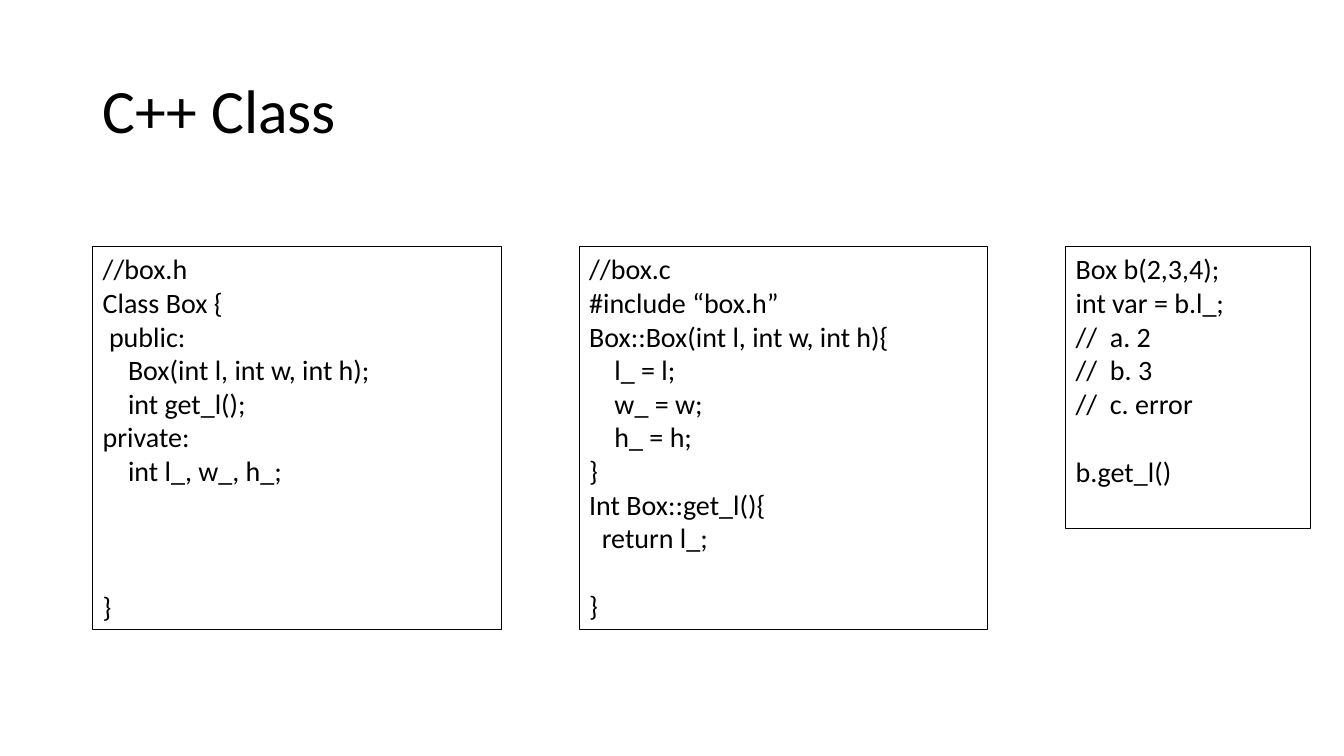
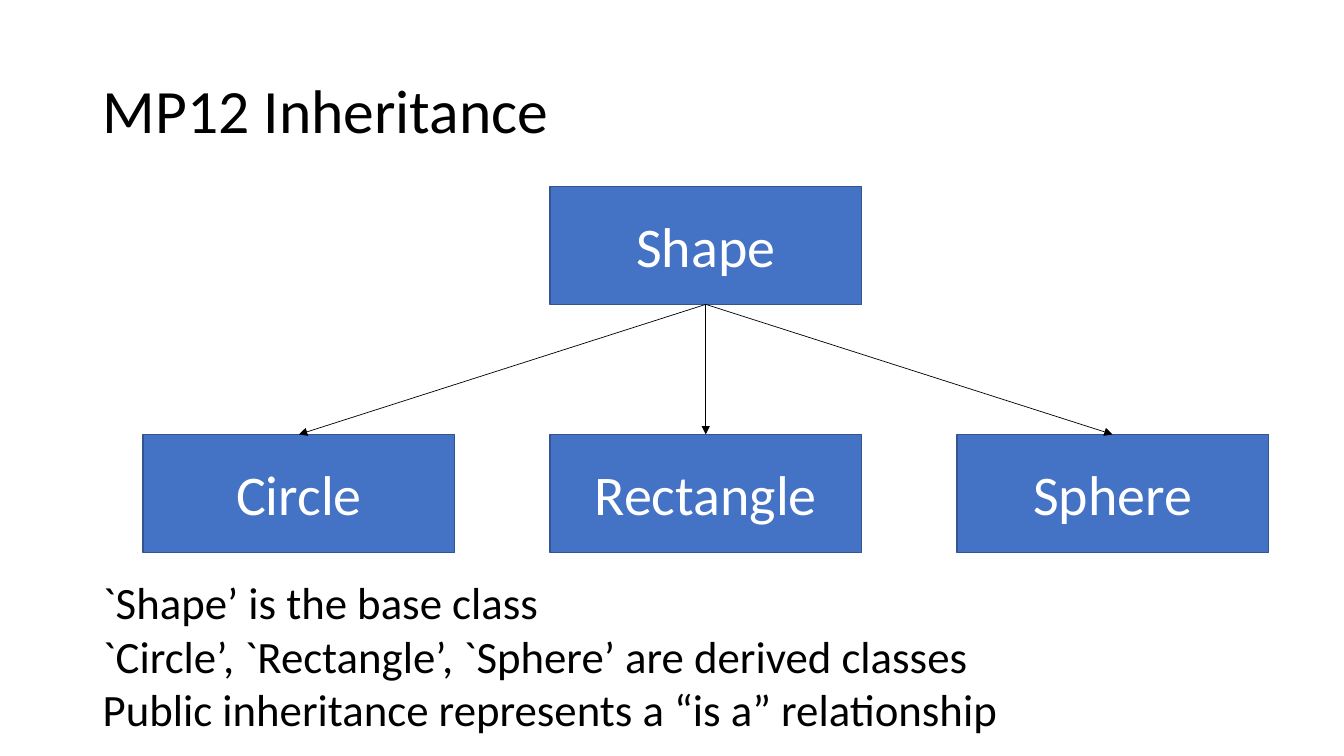
import dataclasses

import pptx
import pptx.dml.color
import pptx.enum.shapes
import pptx.enum.text
import pptx.oxml
import pptx.oxml.ns
import pptx.util
from pptx.util import Inches

RGB = pptx.dml.color.RGBColor
ALIGN = pptx.enum.text.PP_ALIGN
ANCHOR = pptx.enum.text.MSO_ANCHOR


@dataclasses.dataclass(frozen=True)
class Theme:
    font: str = "Calibri"
    ink: RGB = RGB(0, 0, 0)
    paper: RGB = RGB(0xFF, 0xFF, 0xFF)
    node_fill: RGB = RGB(0x44, 0x72, 0xC4)
    node_line: RGB = RGB(0x32, 0x54, 0x91)
    title_size: int = 44
    node_size: int = 40
    note_size: int = 32
    code_size: int = 20
    code_line: float = 24.4  # height of one code line, in points
    code_space: float = 4.52  # width of one space, in points


THEME = Theme()
TITLE_ONLY = 5
LEFT = 0.92

# Code lines: (indent in spaces, text, empty lines above)
HEADER_CODE = [
    (0, "//box.h", 0),
    (0, "Class Box {", 0),
    (1, "public:", 0),
    (4, "Box(int l, int w, int h);", 0),
    (4, "int get_l();", 0),
    (0, "private:", 0),
    (4, "int l_, w_, h_;", 0),
    (0, "}", 3),
]
SOURCE_CODE = [
    (0, "//box.c", 0),
    (0, "#include “box.h”", 0),
    (0, "Box::Box(int l, int w, int h){", 0),
    (4, "l_ = l;", 0),
    (4, "w_ = w;", 0),
    (4, "h_ = h;", 0),
    (0, "}", 0),
    (0, "Int Box::get_l(){", 0),
    (2, "return l_;", 0),
    (0, "}", 1),
]
USAGE_CODE = [
    (0, "Box b(2,3,4);", 0),
    (0, "int var = b.l_;", 0),
    (0, "//\ta. 2", 0),
    (0, "//\tb. 3", 0),
    (0, "//\tc. error", 0),
    (0, "b.get_l()", 1),
]
NOTES = [
    "`Shape’ is the base class",
    "`Circle’, `Rectangle’, `Sphere’ are derived classes",
    "Public inheritance represents a “is a” relationship",
]


def add_span(para, text, size, color=THEME.ink):
    span = para.add_run()
    span.text = text
    span.font.name = THEME.font
    span.font.size = pptx.util.Pt(size)
    span.font.color.rgb = color


def paragraphs(frame, count):
    """Yield the first paragraph of a frame, then new ones."""
    yield frame.paragraphs[0]
    for _ in range(count - 1):
        yield frame.add_paragraph()


def set_indent(para, left, first=0):
    props = para._p.get_or_add_pPr()
    props.set("marL", str(int(left)))
    props.set("indent", str(int(first)))


def add_page(deck, title):
    """Add a page with the shared title style."""
    page = deck.slides.add_slide(deck.slide_layouts[TITLE_ONLY])
    box = page.shapes.title
    box.left, box.top = Inches(LEFT), Inches(0.4)
    box.width, box.height = Inches(11.5), Inches(1.45)
    frame = box.text_frame
    frame.auto_size = pptx.enum.text.MSO_AUTO_SIZE.NONE
    frame.vertical_anchor = ANCHOR.MIDDLE
    para = frame.paragraphs[0]
    para.alignment = ALIGN.LEFT
    para.line_spacing = 0.9
    add_span(para, title, THEME.title_size)
    return page


def add_code(page, left, top, width, height, lines):
    """Place a framed listing in the given box."""
    box = page.shapes.add_textbox(
        Inches(left), Inches(top), Inches(width), Inches(height))
    box.line.color.rgb = THEME.ink
    box.line.width = pptx.util.Pt(0.75)
    frame = box.text_frame
    frame.word_wrap = True
    for para, (spaces, text, gap) in zip(paragraphs(frame, len(lines)), lines):
        if "\t" in text:  # hanging indent behind the comment mark
            set_indent(para, Inches(0.34), -Inches(0.34))
        elif spaces:
            set_indent(para, pptx.util.Pt(spaces * THEME.code_space))
        if gap:
            para.space_before = pptx.util.Pt(gap * THEME.code_line)
        add_span(para, text, THEME.code_size)


def add_node(page, left, top, width, height, name):
    node = page.shapes.add_shape(
        pptx.enum.shapes.MSO_SHAPE.RECTANGLE,
        Inches(left), Inches(top), Inches(width), Inches(height))
    node.shadow.inherit = False
    node.fill.solid()
    node.fill.fore_color.rgb = THEME.node_fill
    node.line.color.rgb = THEME.node_line
    node.line.width = pptx.util.Pt(1)
    node.text_frame.vertical_anchor = ANCHOR.MIDDLE
    para = node.text_frame.paragraphs[0]
    para.alignment = ALIGN.CENTER
    add_span(para, name, THEME.node_size, THEME.paper)
    return node


def add_arrow(page, parent, child):
    """Connect the bottom of the parent to the top of the child."""
    arrow = page.shapes.add_connector(
        pptx.enum.shapes.MSO_CONNECTOR.STRAIGHT, 0, 0, 0, 0)
    arrow.begin_connect(parent, 2)
    arrow.end_connect(child, 0)
    arrow.line.color.rgb = THEME.ink
    arrow.line.width = pptx.util.Pt(0.5)
    qn = pptx.oxml.ns.qn
    head = arrow.line._get_or_add_ln().makeelement(
        qn("a:tailEnd"), {"type": "triangle"})
    arrow.line._get_or_add_ln().append(head)
    props = arrow._element.spPr
    props.append(props.makeelement(qn("a:effectLst"), {}))


def add_tree(page, left, top, width, height, root, leaves):
    """Place a root node above a row of evenly spaced leaves."""
    node_width, node_height = 3.09, 1.17
    step = (width - node_width) / (len(leaves) - 1)
    parent = add_node(page, left + (width - node_width) / 2, top,
                      node_width, node_height, root)
    children = [
        add_node(page, left + i * step, top + height - node_height,
                 node_width, node_height, name)
        for i, name in enumerate(leaves)
    ]
    for child in children:
        add_arrow(page, parent, child)


def add_notes_text(page, left, top, width, height, lines):
    box = page.shapes.add_textbox(
        Inches(left), Inches(top), Inches(width), Inches(height))
    frame = box.text_frame
    frame.word_wrap = False
    for para, text in zip(paragraphs(frame, len(lines)), lines):
        add_span(para, text, THEME.note_size)


def build_class_page(deck):
    page = add_page(deck, "C++ Class")
    # Three listings, each starting one column step further right
    listings = [
        (4.05, 3.8, HEADER_CODE),
        (4.05, 3.8, SOURCE_CODE),
        (2.43, 2.79, USAGE_CODE),
    ]
    for i, (width, height, lines) in enumerate(listings):
        add_code(page, LEFT + i * 4.825, 2.45, width, height, lines)


def build_inheritance_page(deck):
    page = add_page(deck, "MP12 Inheritance")
    add_tree(page, 1.42, 1.85, 11.16, 3.63,
             "Shape", ["Circle", "Rectangle", "Sphere"])
    add_notes_text(page, LEFT, 5.65, 9.5, 1.72, NOTES)


deck = pptx.Presentation()
deck.slide_width, deck.slide_height = Inches(13.33), Inches(7.5)
build_class_page(deck)
build_inheritance_page(deck)
deck.save("out.pptx")
